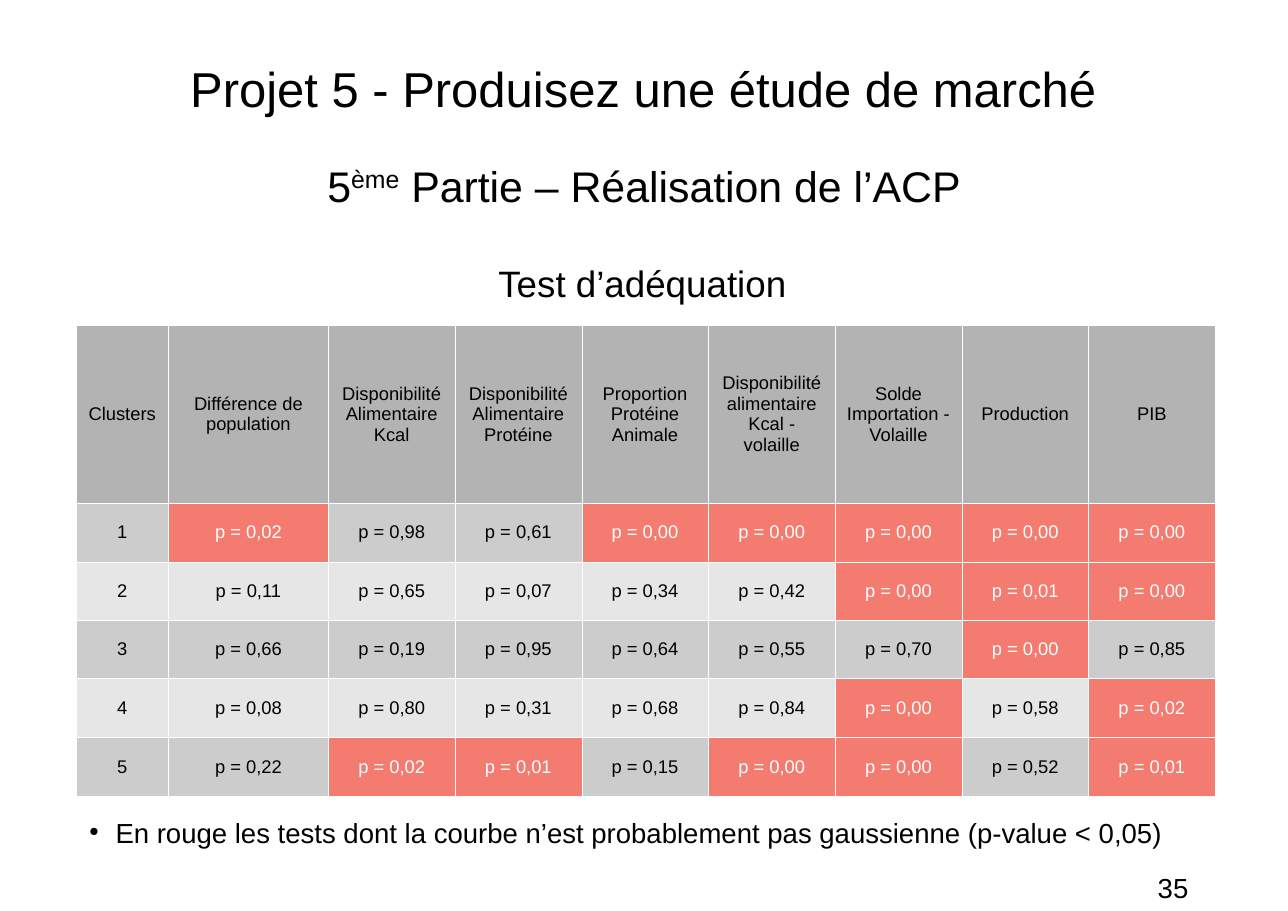
"""Build the slide showing the normality test p-values for each cluster."""
from lxml.etree import SubElement
from pptx import Presentation
from pptx.dml.color import RGBColor
from pptx.enum.text import MSO_ANCHOR, PP_ALIGN
from pptx.oxml.ns import qn
from pptx.util import Inches, Pt

FONT = "Arial"
BLACK, WHITE, RED = "000000", "FFFFFF", "F37B70"
HEADER_FILL, ROW_FILLS = "B3B3B3", ("CCCCCC", "E6E6E6")
THRESHOLD = 0.05

HEADINGS = [
    (["Projet 5 - Produisez une étude de marché"], (0.94, 0.33, 9.81, 0.94), 32),
    (["5", "ème", " Partie – Réalisation de l’ACP"], (0.94, 1.26, 9.81, 0.85), 28),
    (["Test d’adéquation"], (0.71, 2.14, 10.24, 0.85), 24),
]
SUPERSCRIPT = "ème"
NOTE = "En rouge les tests dont la courbe n’est probablement pas gaussienne (p-value < 0,05)"
PAGE_NUMBER = "35"

COLUMNS = [
    "Clusters", "Différence de population", "Disponibilité Alimentaire Kcal",
    "Disponibilité Alimentaire Protéine", "Proportion Protéine Animale",
    "Disponibilité alimentaire Kcal - volaille", "Solde Importation - Volaille",
    "Production", "PIB",
]
P_VALUES = [
    (0.02, 0.98, 0.61, 0.00, 0.00, 0.00, 0.00, 0.00),
    (0.11, 0.65, 0.07, 0.34, 0.42, 0.00, 0.01, 0.00),
    (0.66, 0.19, 0.95, 0.64, 0.55, 0.70, 0.00, 0.85),
    (0.08, 0.80, 0.31, 0.68, 0.84, 0.00, 0.58, 0.02),
    (0.22, 0.02, 0.01, 0.15, 0.00, 0.00, 0.52, 0.01),
]
COLUMN_WIDTHS = [0.84, 1.45] + [1.15] * 7
ROW_HEIGHTS = [1.62] + [0.53] * 4 + [0.54]


def color(value):
    return RGBColor.from_string(value)


def format_font(font, size, value=BLACK):
    font.name, font.size = FONT, Pt(size)
    font.color.rgb = color(value)


def add_text(slide, texts, box, size, alignment=PP_ALIGN.LEFT):
    text_frame = slide.shapes.add_textbox(*map(Inches, box)).text_frame
    text_frame.word_wrap = True
    paragraph = text_frame.paragraphs[0]
    paragraph.alignment = alignment
    for text in texts:
        run = paragraph.add_run()
        run.text = text
        format_font(run.font, size)
        if text == SUPERSCRIPT:
            run.font._element.set("baseline", "33000")
    return text_frame


def add_heading(slide, texts, box, size):
    text_frame = add_text(slide, texts, box, size, PP_ALIGN.CENTER)
    text_frame.vertical_anchor = MSO_ANCHOR.MIDDLE
    text_frame.margin_left = text_frame.margin_right = 0
    text_frame.margin_top = text_frame.margin_bottom = 0


def add_bullet(paragraph):
    properties = paragraph._p.get_or_add_pPr()
    properties.set("marL", str(Inches(0.24)))
    properties.set("indent", str(-Inches(0.24)))
    bullet_color = SubElement(properties, qn("a:buClr"))
    SubElement(bullet_color, qn("a:srgbClr"), val=BLACK)
    SubElement(properties, qn("a:buSzPct"), val="45000")
    SubElement(properties, qn("a:buChar"), char="●")


def fill_cell(cell, text, fill, text_color):
    properties = cell._tc.get_or_add_tcPr()
    for side in ("lnL", "lnR", "lnT", "lnB"):
        border = SubElement(properties, qn(f"a:{side}"), w=str(Pt(0.06)))
        border_fill = SubElement(border, qn("a:solidFill"))
        SubElement(border_fill, qn("a:srgbClr"), val=WHITE)
    cell.fill.solid()
    cell.fill.fore_color.rgb = color(fill)
    cell.vertical_anchor = MSO_ANCHOR.MIDDLE
    cell.text_frame.text = text
    paragraph = cell.text_frame.paragraphs[0]
    paragraph.alignment = PP_ALIGN.CENTER
    format_font(paragraph.runs[0].font, 12, text_color)


def add_p_value_table(slide):
    table = slide.shapes.add_table(
        len(ROW_HEIGHTS), len(COLUMN_WIDTHS), Inches(0.69), Inches(2.95),
        Inches(sum(COLUMN_WIDTHS)), Inches(sum(ROW_HEIGHTS))).table
    table.first_row = table.horz_banding = False
    for column, width in zip(table.columns, COLUMN_WIDTHS):
        column.width = Inches(width)
    for row, height in zip(table.rows, ROW_HEIGHTS):
        row.height = Inches(height)
    for index, heading in enumerate(COLUMNS):
        fill_cell(table.cell(0, index), heading, HEADER_FILL, BLACK)
    for cluster, values in enumerate(P_VALUES, 1):
        row_fill = ROW_FILLS[(cluster - 1) % 2]
        fill_cell(table.cell(cluster, 0), str(cluster), row_fill, BLACK)
        for index, value in enumerate(values, 1):
            text = f"p = {value:.2f}".replace(".", ",")
            fill, text_color = (RED, WHITE) if value < THRESHOLD else (row_fill, BLACK)
            fill_cell(table.cell(cluster, index), text, fill, text_color)


def main():
    presentation = Presentation()
    presentation.slide_width, presentation.slide_height = Inches(11.69), Inches(8.27)
    slide = presentation.slides.add_slide(presentation.slide_layouts[6])
    for texts, box, size in HEADINGS:
        add_heading(slide, texts, box, size)
    add_text(slide, [PAGE_NUMBER], (10.41, 7.86, 1.2, 0.4), 18)
    add_p_value_table(slide)
    note = add_text(slide, [NOTE], (0.71, 7.36, 10.31, 0.38), 18, PP_ALIGN.JUSTIFY)
    add_bullet(note.paragraphs[0])
    presentation.save("out.pptx")


if __name__ == "__main__":
    main()
